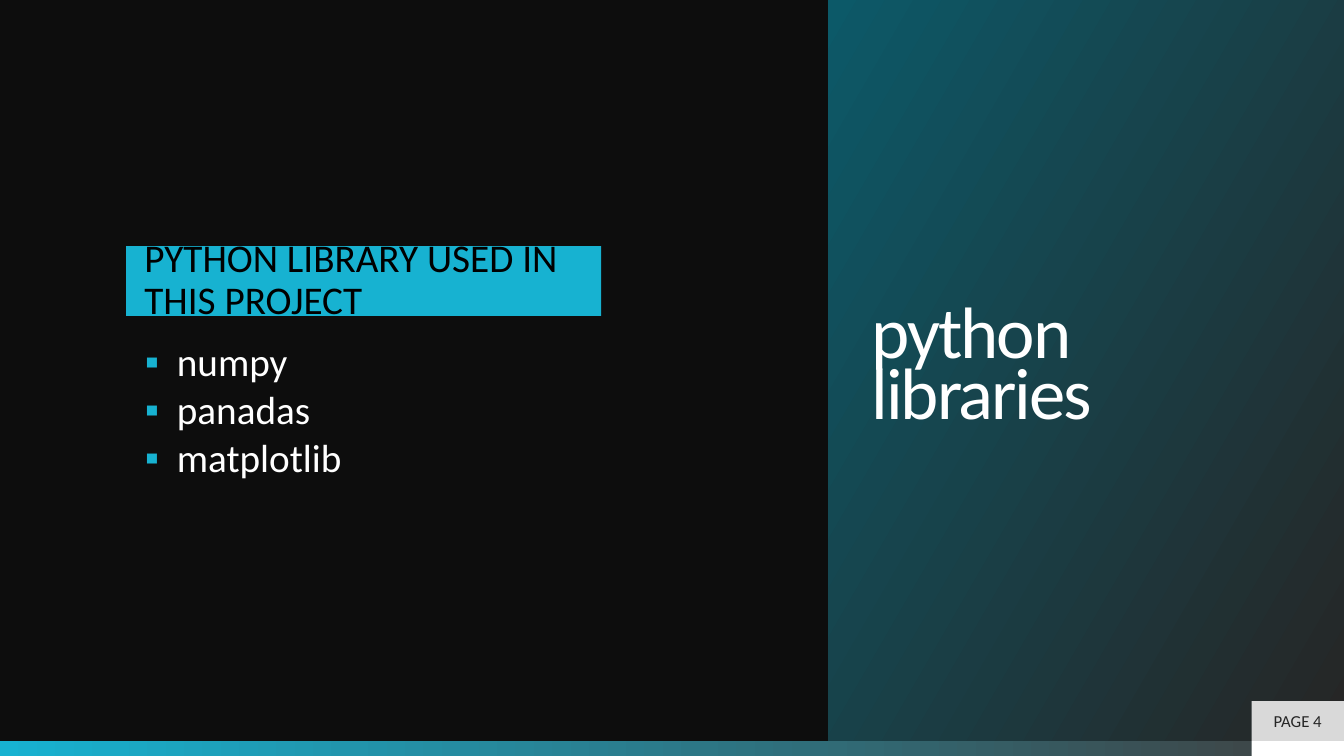
import dataclasses

import lxml.etree
import pptx
import pptx.dml.color
import pptx.enum.shapes
import pptx.enum.text
import pptx.oxml.ns
import pptx.util

Cm = pptx.util.Cm
Pt = pptx.util.Pt
Align = pptx.enum.text.PP_ALIGN
Anchor = pptx.enum.text.MSO_ANCHOR


@dataclasses.dataclass(frozen=True)
class Theme:
    """Colours, font and type sizes of the deck."""
    back: str = "0D0D0D"
    cyan: str = "17B2D1"
    teal: str = "0C5968"
    dark: str = "262626"
    gray: str = "404040"
    pale: str = "D9D9D9"
    white: str = "FFFFFF"
    black: str = "000000"
    font: str = "Calibri"
    title: int = 52
    body: int = 28
    small: int = 12


def rgb(code):
    """Turn a hex code into a colour."""
    return pptx.dml.color.RGBColor.from_string(code)


class Maker:
    """Draws styled elements on the current slide."""

    def __init__(self, theme, slide):
        """Keep the style and paint the background."""
        self.theme = theme
        self.slide = slide
        fill = slide.background.fill
        fill.solid()
        fill.fore_color.rgb = rgb(theme.back)

    def block(self, box, color):
        """Add a plain rectangle."""
        kind = pptx.enum.shapes.MSO_SHAPE.RECTANGLE
        shape = self.slide.shapes.add_shape(kind, *map(Cm, box))
        shape.shadow.inherit = False
        shape.line.fill.background()
        shape.fill.solid()
        shape.fill.fore_color.rgb = rgb(color)
        return shape

    def blend(self, box, stops, angle):
        """Add a rectangle with a two-stop gradient."""
        shape = self.block(box, stops[0][1])
        shape.fill.gradient()
        shape.fill.gradient_angle = angle
        for stop, (place, color) in zip(shape.fill.gradient_stops, stops):
            stop.position = place
            stop.color.rgb = rgb(color)
        return shape

    def label(self, shape, text, size, color, inset, align=Align.LEFT,
              anchor=Anchor.MIDDLE, lead=1.0, after=0, track=0):
        """Fill a shape with styled text."""
        frame = shape.text_frame
        frame.word_wrap = True
        frame.vertical_anchor = anchor
        (frame.margin_left, frame.margin_top,
         frame.margin_right, frame.margin_bottom) = map(Cm, inset)
        frame.text = text
        for para in frame.paragraphs:
            para.alignment = align
            para.line_spacing = lead
            para.space_after = Pt(after)
            for run in para.runs:
                run.font.name = self.theme.font
                run.font.size = Pt(size)
                run.font.color.rgb = rgb(color)
                if track:
                    run._r.get_or_add_rPr().set("spc", str(track))

    def bullets(self, box, items, inset):
        """Add a list with square bullets."""
        shape = self.slide.shapes.add_textbox(*map(Cm, box))
        self.label(shape, "\n".join(items), self.theme.body, self.theme.white,
                   inset, anchor=Anchor.TOP, lead=0.9, after=4)
        tag = pptx.oxml.ns.qn
        for para in shape.text_frame.paragraphs:
            props = para._p.get_or_add_pPr()
            props.set("marL", str(Cm(0.8)))
            props.set("indent", str(Cm(-0.8)))
            tint = lxml.etree.SubElement(props, tag("a:buClr"))
            lxml.etree.SubElement(tint, tag("a:srgbClr"), val=self.theme.cyan)
            lxml.etree.SubElement(props, tag("a:buFont"),
                                  typeface=self.theme.font)
            lxml.etree.SubElement(props, tag("a:buChar"), char="▪")


def main():
    """Build the slide and save it."""
    wide, high = 33.87, 19.05
    strip, tab, panel = 0.38, 2.33, 13
    floor = high - strip
    deck = pptx.Presentation()
    deck.slide_width, deck.slide_height = Cm(wide), Cm(high)
    theme = Theme()
    draw = Maker(theme, deck.slides.add_slide(deck.slide_layouts[6]))

    draw.blend((0, floor, wide, strip),
               [(0, theme.cyan), (1, theme.gray)], 0)
    draw.block((wide - tab, floor, tab, strip), theme.white)

    title = draw.blend((wide - panel, 0, panel, floor),
                       [(0.01, theme.dark), (1, theme.teal)], 150)
    draw.label(title, "python\vlibraries", theme.title, theme.white,
               (1.1, 0.13, 1.1, 0.13), lead=0.7, track=-150)

    page = draw.block((wide - tab, floor - 1, tab, 1), theme.pale)
    draw.label(page, "PAGE 4", theme.small, theme.dark,
               (0.25, 0.13, 0.25, 0.13), align=Align.CENTER)

    draw.bullets((2.34, 5.33, 17.1, 7.98), ["numpy", "panadas", "matplotlib"],
                 (1.32, 3.7, 1.32, 0.56))
    banner = draw.block((3.18, 6.2, 11.97, 1.76), theme.cyan)
    draw.label(banner, "PYTHON LIBRARY USED IN THIS PROJECT", theme.body,
               theme.black, (0.46, 0, 0.46, 0), lead=0.9)

    deck.save("out.pptx")


if __name__ == "__main__":
    main()
